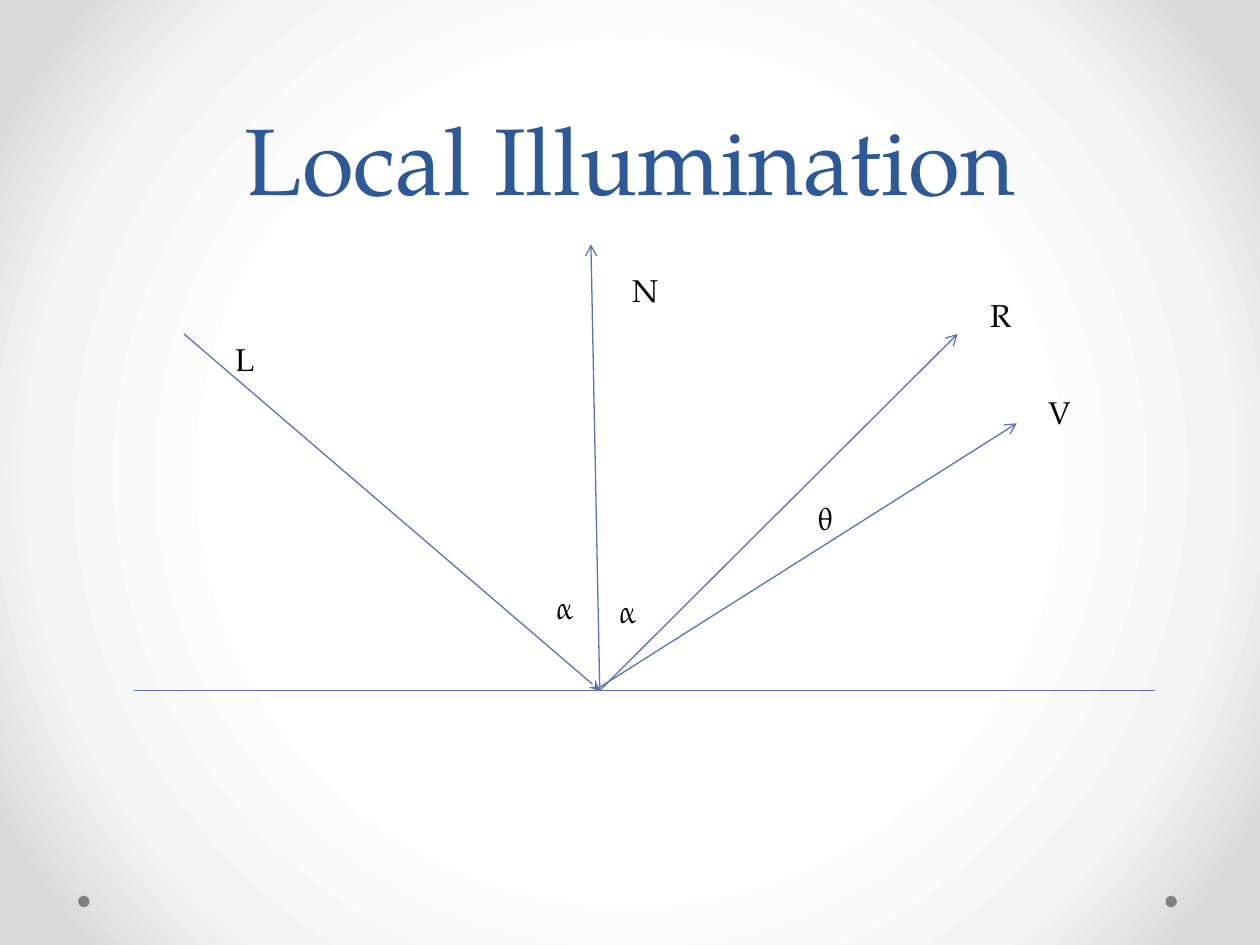
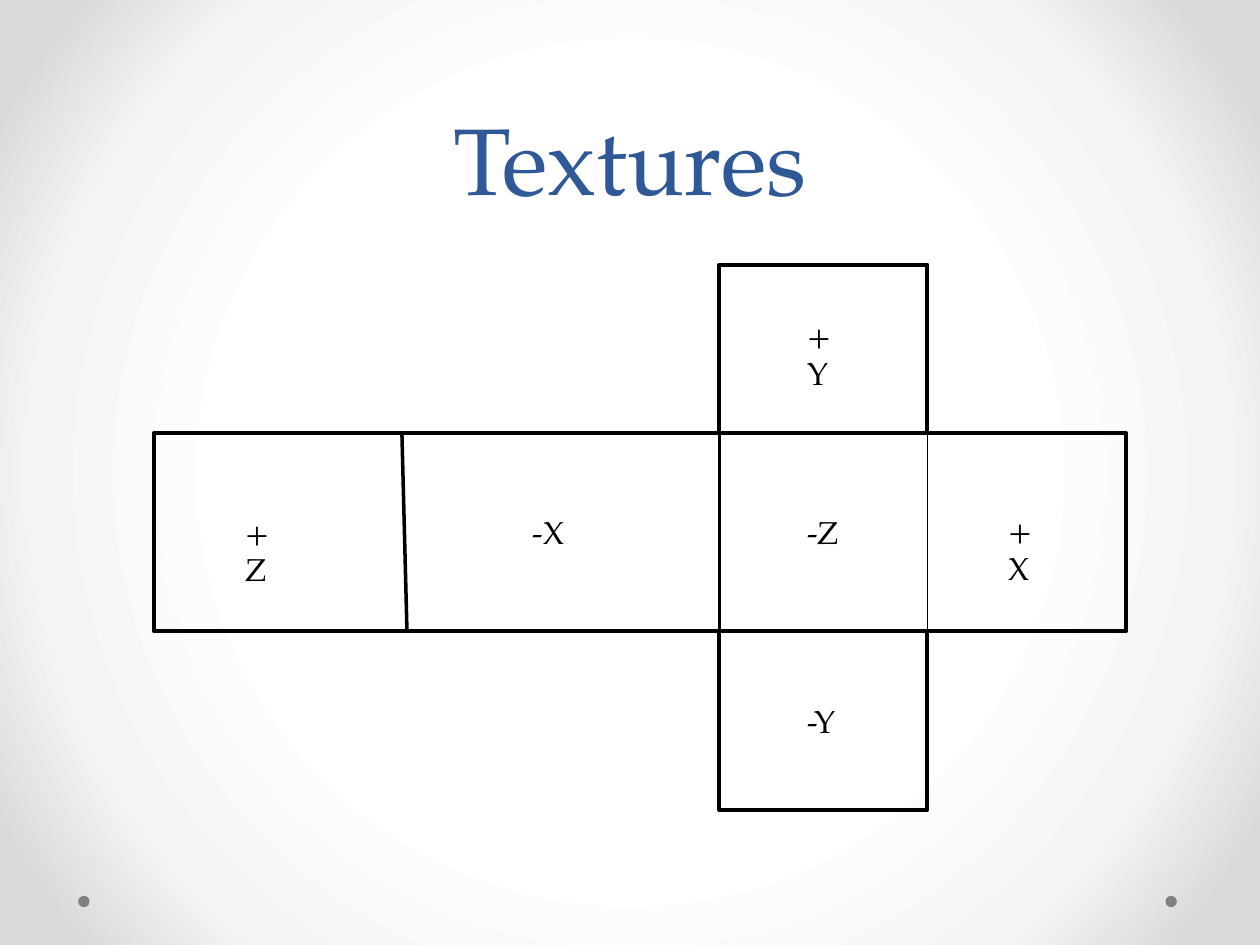
import pptx
import pptx.util
import pptx.dml.color
import pptx.enum.shapes
import pptx.enum.text
import pptx.oxml
import pptx.oxml.ns
from pptx.util import Inches

FONT = "TeX Gyre Pagella"
COLORS = {"title": "2F5897", "ray": "5C72B2", "ink": "000000", "dot": "808080"}
BACKDROP = [(50, "FFFFFF"), (76, "F4F4F4"), (92, "DADADA")]  # percent from centre
DOT_LEFTS, DOT_TOP, DOT_SIZE = (9.25, 0.62), 7.11, 0.09

# Local illumination: rays meet the surface at one point
SURFACE_Y = 5.48
HIT = (4.76, SURFACE_Y)
RAYS = [  # start, end, arrowhead
    ((1.06, SURFACE_Y), (9.17, SURFACE_Y), None),
    (HIT, (4.69, 1.94), "arrow"),
    ((1.46, 2.65), HIT, "stealth"),
    (HIT, (7.6, 2.65), "arrow"),
    ((4.72, SURFACE_Y), (8.07, 3.36), "arrow"),
]
RAY_LABELS = [  # text, left, top
    ("L", 1.77, 2.65), ("N", 4.92, 2.1), ("R", 7.76, 2.3), ("V", 8.22, 3.07),
    ("α", 4.32, 4.62), ("α", 4.82, 4.65), ("θ", 6.39, 3.91),
]

# Textures: an unfolded cube, a row of four faces with one above and one below
ROW_LEFT, ROW_RIGHT, ROW_TOP, ROW_BOTTOM = 1.22, 8.94, 3.44, 5.01
COLUMN_LEFT, COLUMN_RIGHT, COLUMN_TOP, COLUMN_BOTTOM = 5.71, 7.36, 2.1, 6.43
FACE_BLOCKS = [  # left, top, right, bottom
    (ROW_LEFT, ROW_TOP, ROW_RIGHT, ROW_BOTTOM),
    (COLUMN_LEFT, COLUMN_TOP, COLUMN_RIGHT, ROW_TOP),
    (COLUMN_LEFT, ROW_BOTTOM, COLUMN_RIGHT, COLUMN_BOTTOM),
]
FOLDS = [  # x at top, x at bottom, line width
    (3.19, 3.23, 2), (COLUMN_LEFT, COLUMN_LEFT, 2), (COLUMN_RIGHT, COLUMN_RIGHT, 0.75),
]
FACE_LABELS = [
    ("+Z", 1.85, 4.02), ("-X", 4.13, 4.02), ("-Z", 6.31, 4.02),
    ("+X", 7.91, 4.01), ("+Y", 6.31, 2.46), ("-Y", 6.31, 5.52),
]


def rgb(name):
    return pptx.dml.color.RGBColor.from_string(COLORS[name])


def add_preset(slide, kind, left, top, width, height):
    shape = slide.shapes.add_shape(
        kind, Inches(left), Inches(top), Inches(width), Inches(height))
    shape.shadow.inherit = False
    return shape


def add_text(slide, text, left, top, width, height, size, color):
    box = slide.shapes.add_textbox(
        Inches(left), Inches(top), Inches(width), Inches(height))
    paragraph = box.text_frame.paragraphs[0]
    paragraph.text = text
    paragraph.font.name = FONT
    paragraph.font.size = pptx.util.Pt(size)
    paragraph.font.color.rgb = rgb(color)
    return box.text_frame


def add_label(slide, text, left, top):
    """Signed plus labels sit in a narrow box that stacks the sign on the letter."""
    width = {"+": 0.5, "-": 0.45}.get(text[0], 0.38)
    frame = add_text(slide, text, left, top, width, 0.4, 18, "ink")
    frame.word_wrap = text.startswith("+")


def add_line(slide, start, end, color, width, head=None):
    line = slide.shapes.add_connector(
        pptx.enum.shapes.MSO_CONNECTOR.STRAIGHT, *map(Inches, start + end))
    line.line.color.rgb = rgb(color)
    line.line.width = pptx.util.Pt(width)
    if head:
        tail_end = pptx.oxml.parse_xml(
            f'<a:tailEnd {pptx.oxml.ns.nsdecls("a")} type="{head}"/>')
        line.line._get_or_add_ln().append(tail_end)
    line._element.spPr.append(
        pptx.oxml.parse_xml(f'<a:effectLst {pptx.oxml.ns.nsdecls("a")}/>'))


def set_backdrop(slide):
    """Radial gradient, light in the centre."""
    slide.background.fill.solid()
    solid = slide._element.find(".//" + pptx.oxml.ns.qn("p:bgPr"))[0]
    stops = "".join(
        f'<a:gs pos="{percent * 1000}"><a:srgbClr val="{color}"/></a:gs>'
        for percent, color in BACKDROP)
    gradient = pptx.oxml.parse_xml(
        f'<a:gradFill {pptx.oxml.ns.nsdecls("a")} rotWithShape="1">'
        f'<a:gsLst>{stops}</a:gsLst><a:path path="circle">'
        '<a:fillToRect l="50000" t="50000" r="50000" b="50000"/></a:path></a:gradFill>')
    solid.getparent().replace(solid, gradient)


def add_titled_slide(deck, title):
    slide = deck.slides.add_slide(deck.slide_layouts[6])
    set_backdrop(slide)
    for left in DOT_LEFTS:
        dot = add_preset(slide, pptx.enum.shapes.MSO_SHAPE.OVAL,
                         left, DOT_TOP, DOT_SIZE, DOT_SIZE)
        dot.fill.solid()
        dot.fill.fore_color.rgb = rgb("dot")
        dot.line.fill.background()
    frame = add_text(slide, title, 0.5, 0, 9, 1.75, 54, "title")
    frame.word_wrap = True
    frame.vertical_anchor = pptx.enum.text.MSO_ANCHOR.BOTTOM
    frame.paragraphs[0].alignment = pptx.enum.text.PP_ALIGN.CENTER
    frame.paragraphs[0].line_spacing = pptx.util.Pt(58)
    return slide


def build_illumination(deck):
    slide = add_titled_slide(deck, "Local Illumination")
    for start, end, head in RAYS:
        add_line(slide, start, end, "ray", 0.75, head)
    for label in RAY_LABELS:
        add_label(slide, *label)


def build_textures(deck):
    slide = add_titled_slide(deck, "Textures")
    for left, top, right, bottom in FACE_BLOCKS:
        block = add_preset(slide, pptx.enum.shapes.MSO_SHAPE.RECTANGLE,
                           left, top, right - left, bottom - top)
        block.fill.background()
        block.line.color.rgb = rgb("ink")
        block.line.width = pptx.util.Pt(2.25)
    for top_x, bottom_x, width in FOLDS:
        add_line(slide, (top_x, ROW_TOP), (bottom_x, ROW_BOTTOM), "ink", width)
    for label in FACE_LABELS:
        add_label(slide, *label)


def main():
    deck = pptx.Presentation()
    deck.slide_width, deck.slide_height = Inches(10), Inches(7.5)
    build_illumination(deck)
    build_textures(deck)
    deck.save("out.pptx")


if __name__ == "__main__":
    main()
